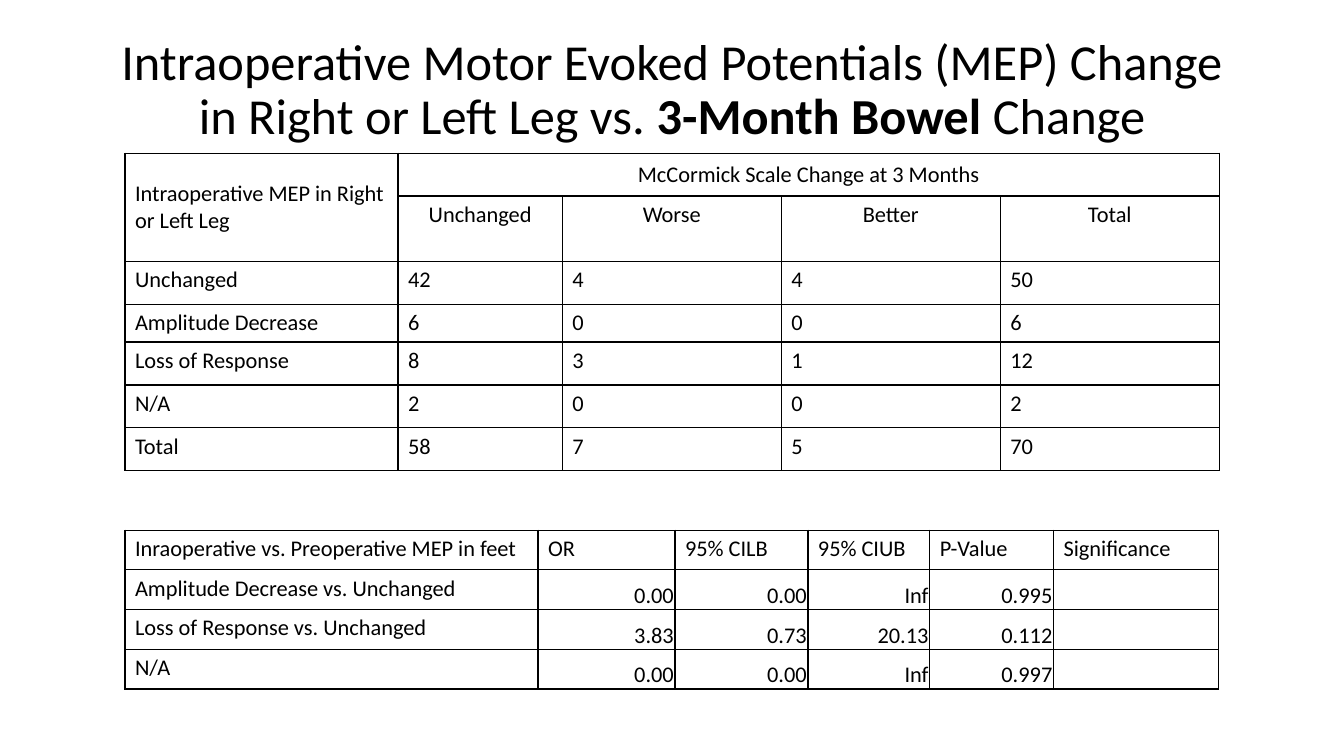
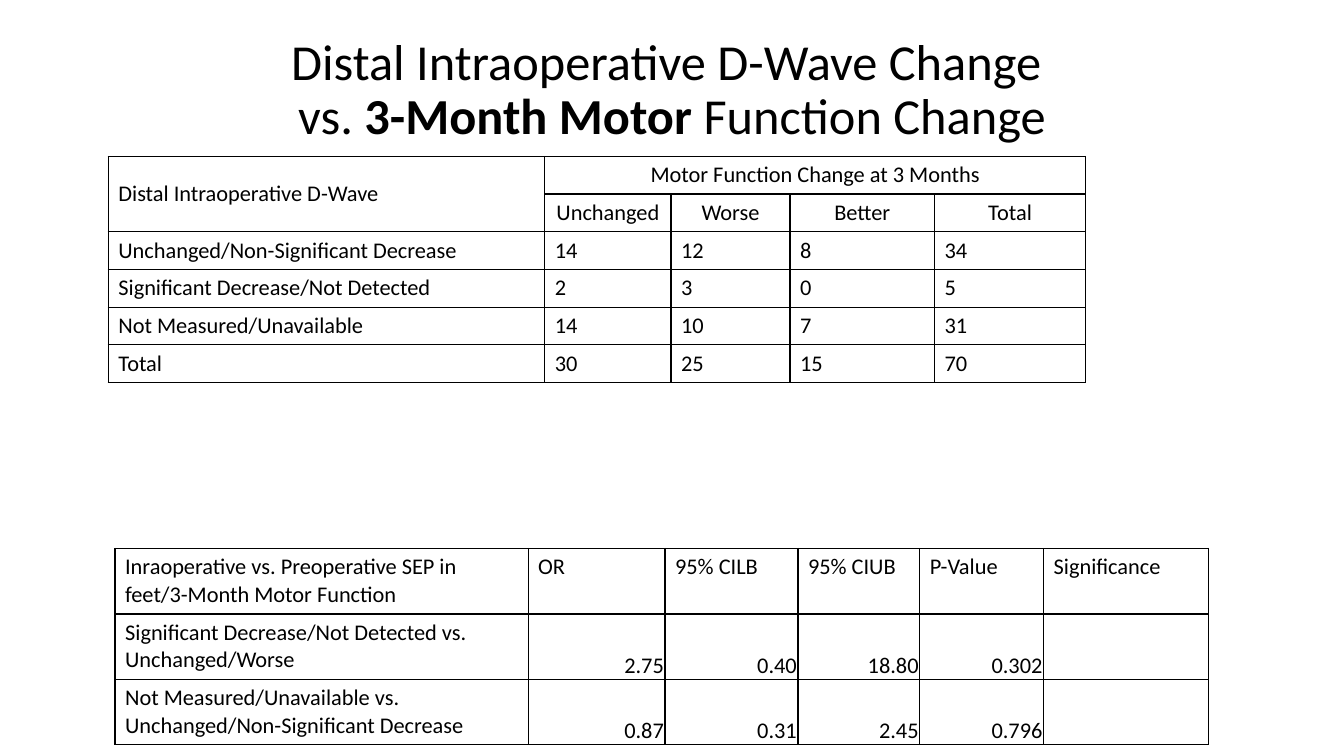
"""Build two slides comparing intraoperative signals with three-month outcomes."""
from lxml.etree import SubElement
from pptx import Presentation
from pptx.dml.color import RGBColor
from pptx.enum.text import MSO_ANCHOR as Anchor, MSO_AUTO_SIZE as AutoSize, PP_ALIGN as Align
from pptx.oxml.ns import qn
from pptx.util import Cm, Pt

COLORS = {"text": "000000", "border": "000000"}
FONT = "Calibri"
TITLE_BOX = {"left": Cm(2.33), "top": Cm(0.74), "width": Cm(29.21), "height": Cm(3.12)}
TITLE_FRAME = {"word_wrap": True, "auto_size": AutoSize.NONE, "vertical_anchor": Anchor.MIDDLE}
TITLE_PARAGRAPH = {"alignment": Align.CENTER, "line_spacing": 0.9}
TABLE_FLAGS = {"first_row": False, "horz_banding": False}
NUMBER_CELL = {
    "vertical_anchor": Anchor.BOTTOM,
    "margin_left": Cm(0.03),
    "margin_right": Cm(0.03),
    "margin_top": Cm(0.03),
    "margin_bottom": 0,
}
ODDS_HEADERS = ["OR", "95% CILB", "95% CIUB", "P-Value", "Significance"]
ODDS_WIDTHS = [10.41, 3.45, 3.35, 3.07, 3.12, 4.15]
OUTCOMES = ["Unchanged", "Worse", "Better", "Total"]

SLIDES = [
    {
        "title": [
            ("Intraoperative Motor Evoked Potentials (MEP) Change in Right or Left Leg vs. ", False),
            ("3-Month Bowel ", True),
            ("Change", False),
        ],
        "tables": [
            {
                "kind": "counts",
                "left": 3.15,
                "top": 3.86,
                "widths": [6.88, 4.14, 5.52, 5.52, 5.52],
                "heights": [1.08, 1.65, 1.08, 0.95, 1.08, 1.08, 1.08],
                "rows": [
                    ["Intraoperative MEP in Right or Left Leg", "McCormick Scale Change at 3 Months", "", "", ""],
                    ["", *OUTCOMES],
                    ["Unchanged", "42", "4", "4", "50"],
                    ["Amplitude Decrease", "6", "0", "0", "6"],
                    ["Loss of Response", "8", "3", "1", "12"],
                    ["N/A", "2", "0", "0", "2"],
                    ["Total", "58", "7", "5", "70"],
                ],
            },
            {
                "kind": "odds",
                "left": 3.15,
                "top": 13.36,
                "widths": ODDS_WIDTHS,
                "heights": [1] * 4,
                "rows": [
                    ["Inraoperative vs. Preoperative MEP in feet", *ODDS_HEADERS],
                    ["Amplitude Decrease vs. Unchanged", "0.00", "0.00", "Inf", "0.995", ""],
                    ["Loss of Response vs. Unchanged", "3.83", "0.73", "20.13", "0.112", ""],
                    ["N/A", "0.00", "0.00", "Inf", "0.997", ""],
                ],
            },
        ],
    },
    {
        "title": [
            ("Distal Intraoperative D-Wave Change \vvs. ", False),
            ("3-Month Motor ", True),
            ("Function Change", False),
        ],
        "tables": [
            {
                "kind": "counts",
                "left": 2.73,
                "top": 3.94,
                "widths": [11, 3.18, 3, 3.64, 3.81],
                "heights": [0.95] * 6,
                "rows": [
                    ["Distal Intraoperative D-Wave", "Motor Function Change at 3 Months", "", "", ""],
                    ["", *OUTCOMES],
                    ["Unchanged/Non-Significant Decrease", "14", "12", "8", "34"],
                    ["Significant Decrease/Not Detected", "2", "3", "0", "5"],
                    ["Not Measured/Unavailable", "14", "10", "7", "31"],
                    ["Total", "30", "25", "15", "70"],
                ],
            },
            {
                "kind": "odds",
                "left": 2.9,
                "top": 13.82,
                "widths": ODDS_WIDTHS,
                "heights": [1.65] * 3,
                "rows": [
                    ["Inraoperative vs. Preoperative SEP in feet/3-Month Motor Function", *ODDS_HEADERS],
                    ["Significant Decrease/Not Detected vs. Unchanged/Worse", "2.75", "0.40", "18.80", "0.302", ""],
                    ["Not Measured/Unavailable vs. Unchanged/Non-Significant Decrease", "0.87", "0.31", "2.45", "0.796", ""],
                ],
            },
        ],
    },
]


def apply(target, values):
    """Set every attribute named in values."""
    for name, value in values.items():
        setattr(target, name, value)


def format_cell(cell):
    """Give a cell its four borders, clear fill and text font."""
    properties = cell._tc.get_or_add_tcPr()
    for side in ("a:lnL", "a:lnR", "a:lnT", "a:lnB"):
        line = SubElement(properties, qn(side), w=str(Pt(1)))
        fill = SubElement(line, qn("a:solidFill"))
        SubElement(fill, qn("a:srgbClr"), val=COLORS["border"])
    cell.fill.background()
    paragraph = cell.text_frame.paragraphs[0]
    for target in (paragraph, *paragraph.runs):
        apply(target.font, {"name": FONT, "size": Pt(16), "bold": False})
        target.font.color.rgb = RGBColor.from_string(COLORS["text"])


presentation = Presentation()
apply(presentation, {"slide_width": Cm(33.87), "slide_height": Cm(19.05)})
title_style = presentation.slide_master.element.find(".//" + qn("p:titleStyle"))
title_style.find(".//" + qn("a:defRPr")).set("sz", "3600")

for content in SLIDES:
    slide = presentation.slides.add_slide(presentation.slide_layouts[5])
    title = slide.shapes.title
    apply(title, TITLE_BOX)
    apply(title.text_frame, TITLE_FRAME)
    paragraph = title.text_frame.paragraphs[0]
    apply(paragraph, TITLE_PARAGRAPH)
    (opening, _), *others = content["title"]
    paragraph.text = opening
    for text, bold in others:
        run = paragraph.add_run()
        run.text = text
        run.font.bold = bold
    for run in paragraph.runs:
        apply(run.font, {"name": FONT, "size": Pt(36)})
        run.font.color.rgb = RGBColor.from_string(COLORS["text"])

    for grid in content["tables"]:
        rows, widths, heights = grid["rows"], grid["widths"], grid["heights"]
        frame = slide.shapes.add_table(
            len(rows), len(widths),
            Cm(grid["left"]), Cm(grid["top"]), Cm(sum(widths)), Cm(sum(heights)),
        )
        table = frame.table
        apply(table, TABLE_FLAGS)
        for column, width in zip(table.columns, widths):
            column.width = Cm(width)
        for row, height in zip(table.rows, heights):
            row.height = Cm(height)

        for row_index, values in enumerate(rows):
            for column_index, value in enumerate(values):
                cell = table.cell(row_index, column_index)
                cell.text = value
                format_cell(cell)
                paragraph = cell.text_frame.paragraphs[0]
                if grid["kind"] == "counts":
                    if row_index == 0:
                        cell.vertical_anchor = Anchor.MIDDLE
                    if row_index < 2 and column_index > 0:
                        paragraph.alignment = Align.CENTER
                elif row_index > 0 and 0 < column_index < 5:
                    apply(cell, NUMBER_CELL)
                    paragraph.alignment = Align.RIGHT

        if grid["kind"] == "counts":
            table.cell(0, 0).merge(table.cell(1, 0))
            table.cell(0, 1).merge(table.cell(0, 4))

presentation.save("out.pptx")
